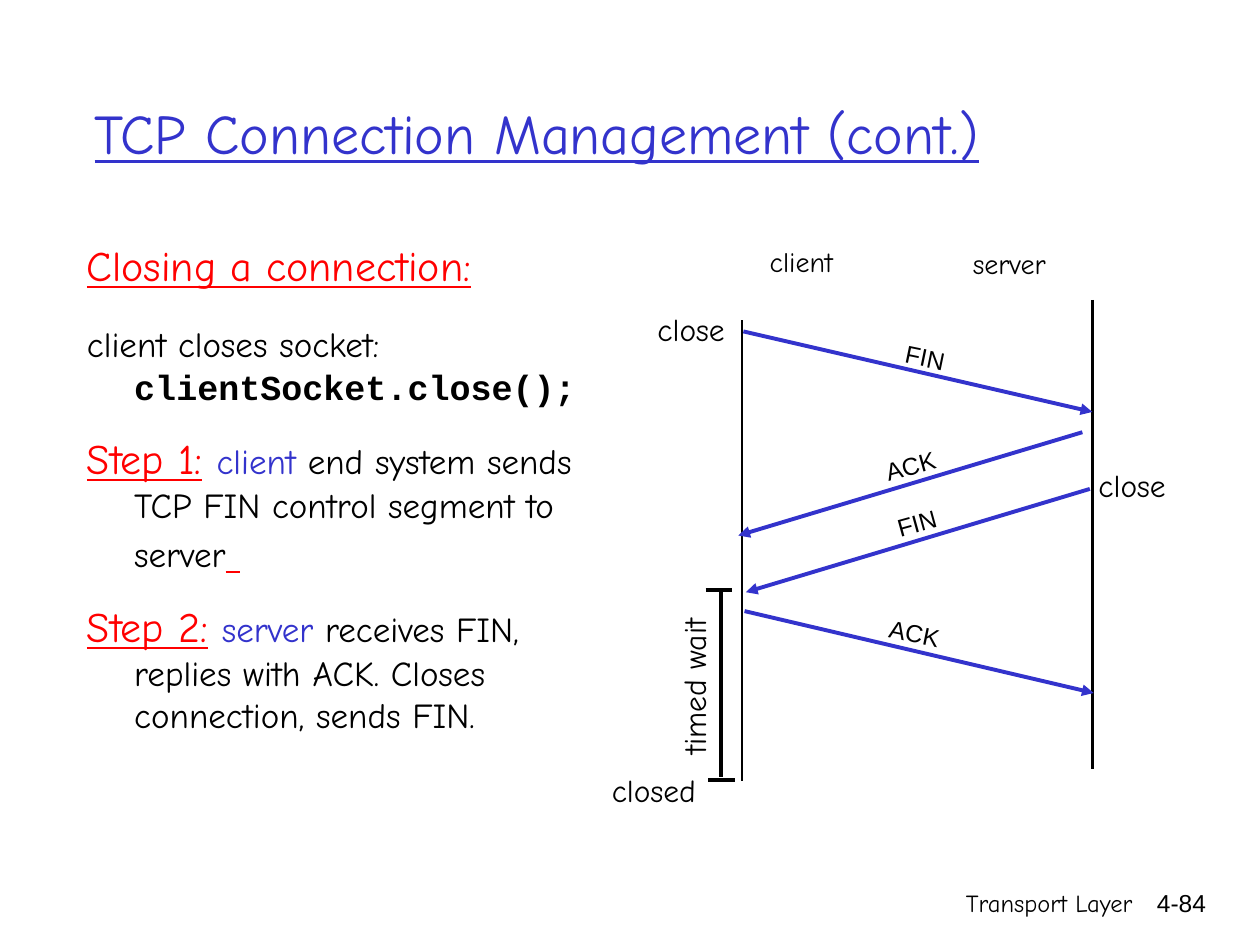
from lxml import etree
from pptx import Presentation
from pptx import util as u
from pptx.dml import color
from pptx.enum import shapes, text
from pptx.oxml import ns

BLACK, BLUE, RED = "000000", "3333CC", "FF0000"
HAND, SANS, MONO = "Comic Neue", "Arial", "Courier New"
LEFT, CENTER, RIGHT = text.PP_ALIGN.LEFT, text.PP_ALIGN.CENTER, text.PP_ALIGN.RIGHT
FIXED, GROW = text.MSO_AUTO_SIZE.NONE, text.MSO_AUTO_SIZE.SHAPE_TO_FIT_TEXT


def rgb(value):
    return color.RGBColor.from_string(value)


class Page:
    def __init__(self, s):
        self.s = s

    def run(self, p, words, size, fill=BLACK, font=HAND, underline=False, bold=False):
        r = p.add_run()
        r.text = words
        r.font.name, r.font.size = font, u.Pt(size)
        r.font.underline, r.font.bold = underline, bold
        r.font.color.rgb = rgb(fill)

    def place(self, sp, x, y, w, h):
        sp.left, sp.top, sp.width, sp.height = (u.Pt(v) for v in (x, y, w, h))

    def title(self, words, *box):
        sp = self.s.shapes.title
        self.place(sp, *box)
        tf = sp.text_frame
        tf.auto_size = FIXED
        tf.vertical_anchor = text.MSO_ANCHOR.MIDDLE
        p = tf.paragraphs[0]
        p.alignment = LEFT
        self.run(p, words, 32, BLUE, underline=True)

    def body(self, paragraphs, *box):
        sp = self.s.placeholders[1]
        self.place(sp, *box)
        tf = sp.text_frame
        tf.auto_size = FIXED
        for i, runs in enumerate(paragraphs):
            p = tf.add_paragraph() if i else tf.paragraphs[0]
            pPr = p._p.get_or_add_pPr()
            pPr.set("marL", str(u.Pt(27)))
            pPr.set("indent", str(u.Pt(-27)))
            etree.SubElement(pPr, ns.qn("a:buNone"))
            p.space_before = u.Pt(14.4 if i else 0)
            for words, size, *style in runs:
                self.run(p, words, size, *style)

    def label(self, words, x, y, w, h, size, font=HAND, align=CENTER, turn=0,
              wrap=False, fit=GROW):
        sp = self.s.shapes.add_textbox(*(u.Pt(v) for v in (x, y, w, h)))
        sp.rotation = turn
        tf = sp.text_frame
        tf.word_wrap = wrap
        tf.auto_size = fit
        p = tf.paragraphs[0]
        p.alignment = align
        self.run(p, words, size, font=font)

    def line(self, x1, y1, x2, y2, fill=BLACK, weight=2.25, arrow=False):
        ends = (u.Pt(v) for v in (x1, y1, x2, y2))
        sp = self.s.shapes.add_connector(shapes.MSO_CONNECTOR.STRAIGHT, *ends)
        sp.line.color.rgb = rgb(fill)
        sp.line.width = u.Pt(weight)
        if arrow:
            etree.SubElement(sp.line._get_or_add_ln(), ns.qn("a:tailEnd"), type="triangle")
        etree.SubElement(sp._element.spPr, ns.qn("a:effectLst"))

    def message(self, *ends):
        self.line(*ends, fill=BLUE, arrow=True)


def step(number, actor, words):
    return [(f"Step {number}:", 24, RED, HAND, True), (" ", 24),
            (actor, 20, BLUE), (words, 20)]


def main():
    prs = Presentation()
    prs.slide_width, prs.slide_height = u.Pt(720), u.Pt(540)
    page = Page(prs.slides.add_slide(prs.slide_layouts[1]))
    gap = (" ", 24, RED, HAND, True)

    page.title("TCP Connection Management (cont.)", 46.8, 40.3, 612, 70.6)
    page.body([
        [("Closing a connection:", 24, RED, HAND, True)],
        [("client closes socket:", 20), gap,
         ("clientSocket.close();", 20, BLACK, MONO, False, True),
         (" ", 18, BLACK, SANS)],
        step(1, "client", " end system sends TCP FIN control segment to server") + [gap],
        step(2, "server", " receives FIN, replies with ACK. Closes connection, sends FIN."),
    ], 42.5, 133.2, 296, 272.2)

    page.line(424.1, 182.9, 424.1, 446.4, weight=1.5)
    page.line(624.2, 171.4, 624.2, 439.2, weight=1.5)
    page.message(424.8, 189.4, 624.2, 235.4)
    page.message(618.5, 247, 421.9, 306)
    page.message(622.8, 279.4, 426.2, 338.4)
    page.message(425.5, 349.2, 625, 396)

    page.line(411.8, 338.4, 411.8, 444.2)
    page.line(403.2, 337, 418.3, 337)
    page.line(404.6, 445.7, 419.8, 445.7)

    page.label("client", 429.8, 136.1, 56.2, 26.6, 16)
    page.label("server", 545, 137.5, 63.4, 26.6, 16)
    for words, x, y, w in [("close", 366.5, 173.5, 56.9),
                           ("close", 618.5, 262.8, 56.9),
                           ("closed", 339.8, 437, 67.7)]:
        page.label(words, x, y, w, 28.8, 18)
    page.label("timed wait", 344.9, 378, 103, 28.8, 18, turn=270)

    for words, x, y, w, turn in [("FIN", 507.2, 192.2, 43.2, 11.8),
                                 ("ACK", 412.6, 254.2, 215.3, 344.6),
                                 ("FIN", 416.2, 286.6, 215.3, 344.6),
                                 ("ACK", 501.1, 349.9, 43.2, 11.8)]:
        page.label(words, x, y, w, 23.8, 14, SANS, turn=turn, wrap=w > 100)

    page.label("Transport Layer", 426.2, 504, 228.2, 36, 14, align=RIGHT,
               wrap=True, fit=FIXED)
    page.label("4-84", 643, 504, 53.3, 36, 14, SANS, RIGHT, wrap=True, fit=FIXED)

    prs.save("out.pptx")


if __name__ == "__main__":
    main()
